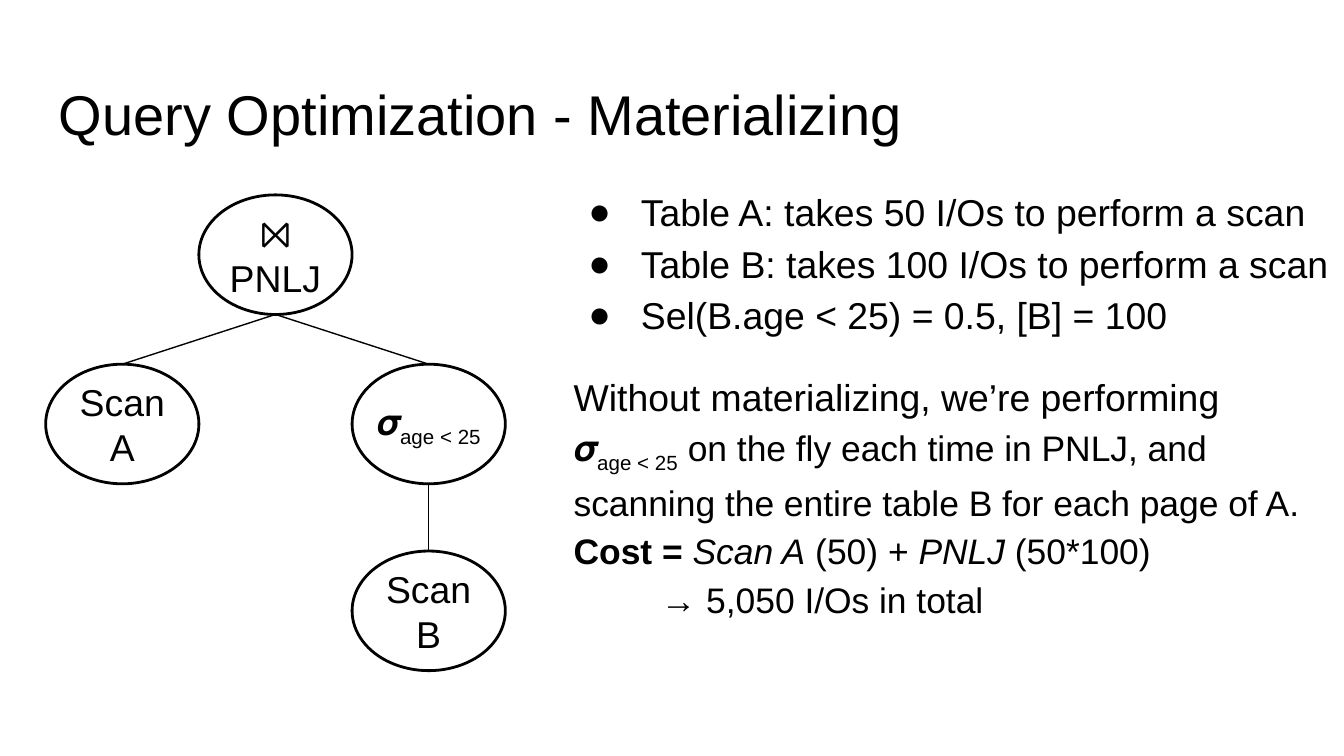
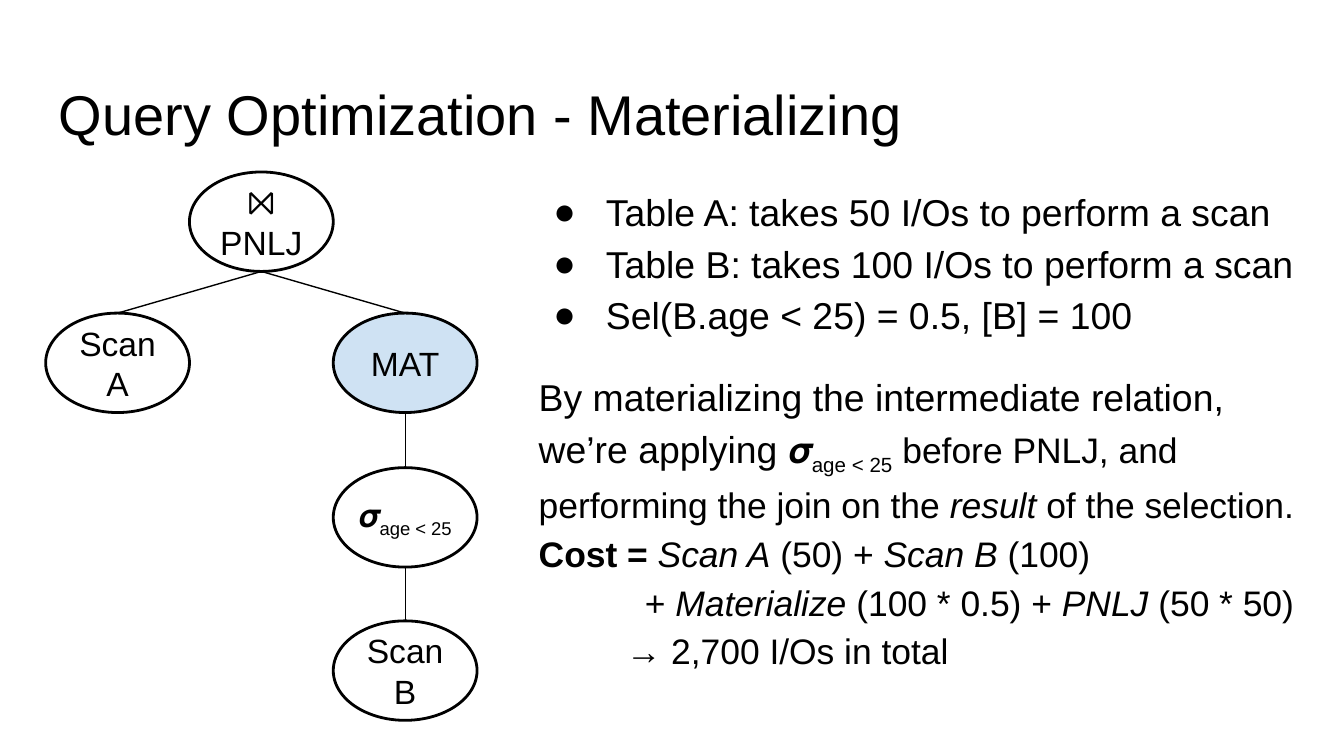
from pptx import Presentation
from pptx.dml.color import RGBColor
from pptx.enum.shapes import MSO_CONNECTOR, MSO_SHAPE
from pptx.enum.text import MSO_ANCHOR, PP_ALIGN
from pptx.oxml.ns import qn
from pptx.util import Inches, Pt
from lxml import etree

BLACK = RGBColor(0x00, 0x00, 0x00)
LIGHT_BLUE = RGBColor(0xCF, 0xE2, 0xF3)
ELLIPSE = MSO_SHAPE.OVAL
STRAIGHT = MSO_CONNECTOR.STRAIGHT
MIDDLE = MSO_ANCHOR.MIDDLE
CENTER = PP_ALIGN.CENTER

FONT = "Arial"
TITLE = "Query Optimization - Materializing"
TREE_LEFT = 0.34
FACTS = [
    "Table A: takes 50 I/Os to perform a scan",
    "Table B: takes 100 I/Os to perform a scan",
    "Sel(B.age < 25) = 0.5, [B] = 100",
]
BODY_SIZE = 20
DETAIL_SIZE = 19
ITALIC = {"italic": True}
BOLD = {"bold": True}
SELECTION = [("𝝈", {}), ("age < 25", {"baseline": -25})]
JOIN = [("⨝\nPNLJ", {})]


def add_text(paragraph, text, size=DETAIL_SIZE, bold=False, italic=False,
             baseline=0, color=BLACK):
    """Append formatted text; a newline becomes a line break."""
    for index, line in enumerate(text.split("\n")):
        if index:
            paragraph.add_line_break()
        run = paragraph.add_run()
        run.text = line
        font = run.font
        font.name = FONT
        font.size = Pt(size)
        font.bold = bold
        font.italic = italic
        font.color.rgb = color
        if baseline:
            run._r.get_or_add_rPr().set("baseline", str(baseline * 1000))


def add_runs(paragraph, runs, size=DETAIL_SIZE):
    for text, style in runs:
        add_text(paragraph, text, **{"size": size, **style})


def add_text_frame(slide, left, top, width, height):
    box = slide.shapes.add_textbox(
        Inches(left), Inches(top), Inches(width), Inches(height))
    frame = box.text_frame
    frame.word_wrap = True
    frame.margin_left = frame.margin_right = Inches(0.1)
    frame.margin_top = frame.margin_bottom = Inches(0.1)
    return frame


def add_title(slide):
    frame = add_text_frame(slide, 0.34, 0.49, 9.32, 0.63)
    add_text(frame.paragraphs[0], TITLE, size=30)


def add_bullet(properties):
    color = etree.SubElement(properties, qn("a:buClr"))
    etree.SubElement(color, qn("a:srgbClr")).set("val", str(BLACK))
    size = etree.SubElement(properties, qn("a:buSzPts"))
    size.set("val", str(BODY_SIZE * 100))
    etree.SubElement(properties, qn("a:buFont")).set("typeface", FONT)
    etree.SubElement(properties, qn("a:buChar")).set("char", "●")


def format_paragraph(paragraph, left=0, first=0, bullet=False):
    """Set line spacing, indents in inches, and an optional bullet."""
    paragraph.line_spacing = 1.15
    properties = paragraph._p.get_or_add_pPr()
    properties.set("marL", str(Inches(left)))
    properties.set("indent", str(Inches(first)))
    if bullet:
        add_bullet(properties)


def add_body(slide, left, width, height, details):
    """Add the shared facts, then details as (runs, indents) pairs."""
    frame = add_text_frame(slide, left, 1.26, width, height)
    for index, fact in enumerate(FACTS):
        paragraph = frame.add_paragraph() if index else frame.paragraphs[0]
        format_paragraph(paragraph, left=0.5, first=-0.39, bullet=True)
        add_text(paragraph, fact, size=BODY_SIZE)
    for index, (runs, indents) in enumerate(details):
        paragraph = frame.add_paragraph()
        format_paragraph(paragraph, **indents)
        if index == 0:
            paragraph.space_before = Pt(16)
        add_runs(paragraph, runs)


def add_node(slide, left, top, width, height, runs, size, fill=None):
    node = slide.shapes.add_shape(
        ELLIPSE, Inches(left), Inches(top), Inches(width), Inches(height))
    node.shadow.inherit = False
    if fill is None:
        node.fill.background()
    else:
        node.fill.solid()
        node.fill.fore_color.rgb = fill
    node.line.color.rgb = BLACK
    node.line.width = Pt(1.5)
    frame = node.text_frame
    frame.word_wrap = True
    frame.vertical_anchor = MIDDLE
    frame.margin_left = frame.margin_right = 0
    frame.margin_top = frame.margin_bottom = Inches(0.1)
    paragraph = frame.paragraphs[0]
    paragraph.alignment = CENTER
    add_runs(paragraph, runs, size)
    return node


def add_edge(slide, parent, child):
    """Join the bottom of the parent to the top of the child."""
    edge = slide.shapes.add_connector(
        STRAIGHT,
        parent.left + parent.width // 2, parent.top + parent.height,
        child.left + child.width // 2, child.top)
    edge.line.color.rgb = BLACK
    edge.line.width = Pt(0.75)
    etree.SubElement(edge._element.spPr, qn("a:effectLst"))


def add_tree(slide, width, height, row_tops, size, chain):
    """Draw the join over Scan A and a chain of (runs, size, fill) nodes."""
    def place(column, row, runs, node_size=size, fill=None):
        return add_node(slide, TREE_LEFT + column * width, row_tops[row],
                        width, height, runs, node_size, fill)

    join = place(1, 0, JOIN)
    add_edge(slide, join, place(0, 1, [("Scan A", {})]))
    parent = join
    for row, (runs, node_size, fill) in enumerate(chain, start=1):
        child = place(2, row, runs, node_size, fill)
        add_edge(slide, parent, child)
        parent = child


def add_slide(presentation):
    slide = presentation.slides.add_slide(presentation.slide_layouts[6])
    add_title(slide)
    return slide


def build_on_the_fly(presentation):
    slide = add_slide(presentation)
    add_tree(slide, 1.14, 0.89, [1.45, 2.71, 4.1], 20, [
        (SELECTION, 19, None),
        ([("Scan B", {})], 20, None),
    ])
    add_body(slide, 4.17, 5.83, 3.74, [
        ([("Without materializing, we’re performing",
           {"size": BODY_SIZE})], {}),
        (SELECTION + [(" on the fly each time in PNLJ, and scanning the "
                       "entire table B for each page of A.", {})], {}),
        ([("Cost = ", BOLD), ("Scan A", ITALIC), (" (50) + ", {}),
          ("PNLJ", ITALIC), (" (50*100)", {})], {}),
        ([("→ 5,050 I/Os in total", {})], {"first": 0.65}),
    ])


def build_materialized(presentation):
    slide = add_slide(presentation)
    add_tree(slide, 1.07, 0.74, [1.28, 2.33, 3.48, 4.62], 18, [
        ([("MAT", {})], 18, LIGHT_BLUE),
        (SELECTION, 17, None),
        ([("Scan B", {})], 18, None),
    ])
    add_body(slide, 3.91, 5.99, 3.94, [
        ([("By materializing the intermediate relation, we’re applying ",
           {"size": BODY_SIZE})] + SELECTION + [
            (" before PNLJ, and performing the join on the ", {}),
            ("result", ITALIC), (" of the selection.", {})], {}),
        ([("Cost = ", BOLD), ("Scan A", ITALIC), (" (50) + ", {}),
          ("Scan B", ITALIC), (" (100)", {})], {}),
        ([("+ ", {}), ("Materialize", ITALIC), (" (100 * 0.5) + ", {}),
          ("PNLJ", ITALIC), (" (50 * 50)", {})], {"left": 0.79}),
        ([("→ 2,700 I/Os in total", {})], {"first": 0.65}),
    ])


def main():
    presentation = Presentation()
    presentation.slide_width = Inches(10)
    presentation.slide_height = presentation.slide_width * 9 // 16
    build_on_the_fly(presentation)
    build_materialized(presentation)
    presentation.save("out.pptx")


if __name__ == "__main__":
    main()
